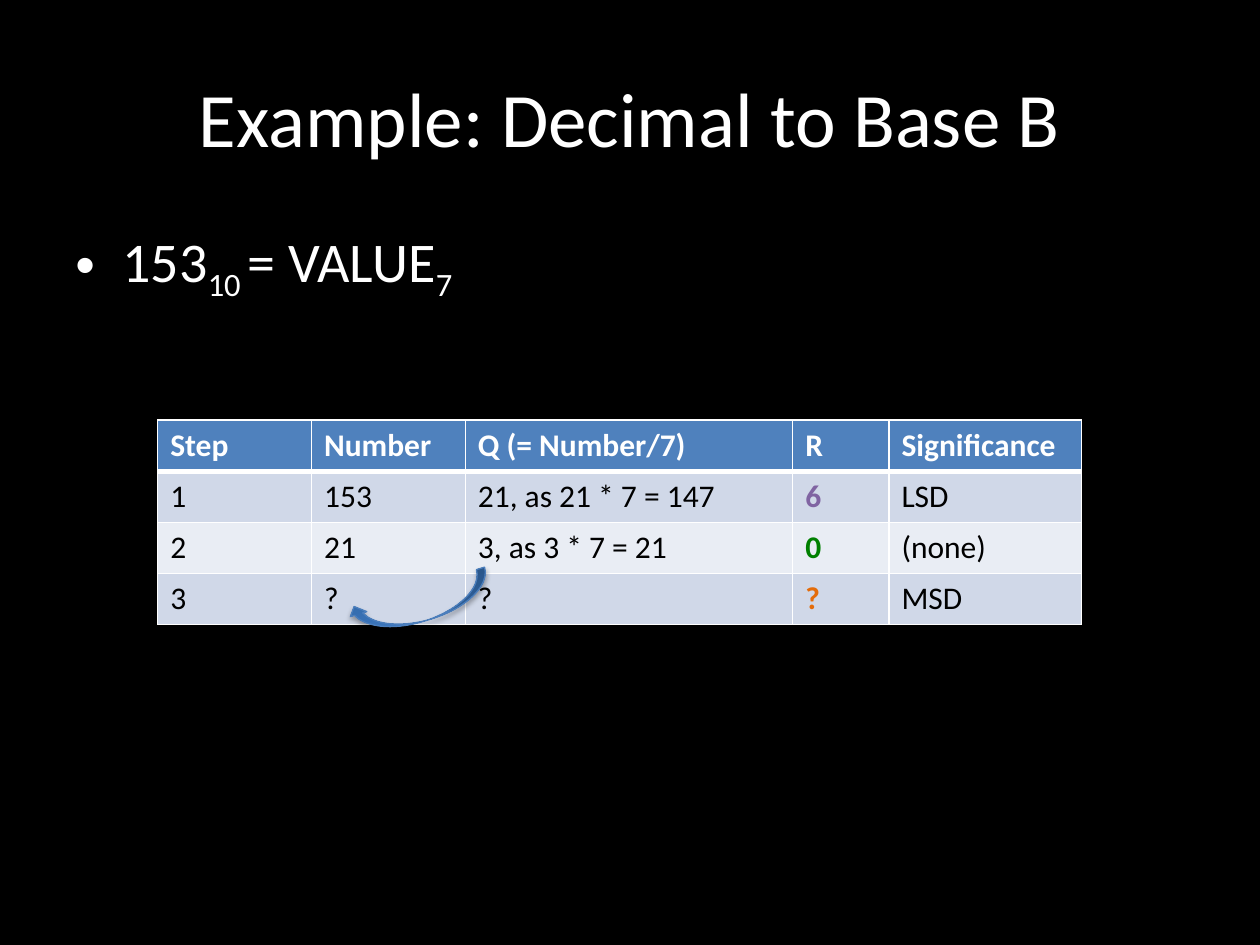
import pptx
import pptx.util
import pptx.dml.color
import pptx.enum.shapes
import pptx.enum.text
import pptx.oxml
import pptx.oxml.ns
from dataclasses import dataclass
from lxml import etree

Cm = pptx.util.Cm
Pt = pptx.util.Pt
Rgb = pptx.dml.color.RGBColor.from_string
qn = pptx.oxml.ns.qn
Align = pptx.enum.text.PP_ALIGN
Anchor = pptx.enum.text.MSO_ANCHOR

HUES = {
    "black": "000000", "white": "FFFFFF", "head": "4F81BD",
    "odd": "D0D8E8", "even": "E9EDF4", "purple": "8064A2",
    "green": "008000", "orange": "E46C0A",
    "dark": "2F5F99", "light": "3D7CC7", "edge": "4B7EBC",
}


@dataclass
class Box:
    left: float
    top: float
    width: float
    height: float

    def place(self) -> tuple:
        return tuple(Cm(n) for n in (self.left, self.top, self.width, self.height))


@dataclass
class Part:
    text: str
    size: float
    hue: str = "white"
    bold: bool = False
    base: int = 0


@dataclass
class Step:
    cells: tuple
    fill: str
    mark: str


def add_part(para, part: Part) -> None:
    run = para.add_run()
    run.text = part.text
    form = {"name": "Calibri", "size": Pt(part.size), "bold": part.bold}
    for key, value in form.items():
        setattr(run.font, key, value)
    run.font.color.rgb = Rgb(HUES[part.hue])
    if part.base:
        run.font._element.set("baseline", str(part.base * 1000))


def add_text(slide, box: Box, parts: list, form: dict):
    frame = slide.shapes.add_textbox(*box.place()).text_frame
    for key, value in form.items():
        setattr(frame, key, value)
    para = frame.paragraphs[0]
    for part in parts:
        add_part(para, part)
    return para


def add_edges(cell, sides: dict) -> None:
    props = cell._tc.get_or_add_tcPr()
    for side, width in sides.items():
        line = etree.SubElement(props, qn(f"a:ln{side}"), w=str(Pt(width)))
        fill = etree.SubElement(line, qn("a:solidFill"))
        etree.SubElement(fill, qn("a:srgbClr"), val=HUES["white"])


def add_grid(slide, box: Box, widths: tuple, steps: list) -> None:
    grid = slide.shapes.add_table(len(steps), len(widths), *box.place()).table
    for col, width in zip(grid.columns, widths):
        col.width = Cm(width)
    for r, step in enumerate(steps):
        grid.rows[r].height = Cm(box.height / len(steps))
        for c, text in enumerate(step.cells):
            cell = grid.cell(r, c)
            add_edges(cell, {"L": 1, "R": 1, "T": 3 if r == 1 else 1,
                             "B": 3 if r == 0 else 1})
            cell.fill.solid()
            cell.fill.fore_color.rgb = Rgb(HUES[step.fill])
            head = r == 0
            hue = "white" if head else step.mark if c == 3 else "black"
            add_part(cell.text_frame.paragraphs[0],
                     Part(text, 18, hue, head or c == 3))


def add_arrow(slide, box: Box, turn: float) -> None:
    kind = pptx.enum.shapes.MSO_SHAPE.CURVED_DOWN_ARROW
    arrow = slide.shapes.add_shape(kind, *box.place())
    arrow.rotation = turn
    arrow.fill.gradient()
    arrow.fill.gradient_angle = 90
    for stop, hue, spot in zip(arrow.fill.gradient_stops, ("dark", "light"), (0, 0.8)):
        stop.color.rgb = Rgb(HUES[hue])
        stop.position = spot
    arrow.line.color.rgb = Rgb(HUES["edge"])
    arrow.line.width = Pt(0.75)
    arrow.shadow.inherit = False
    glow = arrow._element.spPr.find(qn("a:effectLst"))
    shade = etree.SubElement(glow, qn("a:outerShdw"), blurRad=str(Pt(3.1)),
                             dist=str(Pt(1.8)), dir="5400000", rotWithShape="0")
    tint = etree.SubElement(shade, qn("a:srgbClr"), val=HUES["black"])
    etree.SubElement(tint, qn("a:alpha"), val="35000")


def main() -> None:
    deck = pptx.Presentation()
    deck.slide_width, deck.slide_height = Cm(25.4), Cm(19.05)
    slide = deck.slides.add_slide(deck.slide_layouts[6])
    slide.background.fill.solid()
    slide.background.fill.fore_color.rgb = Rgb(HUES["black"])

    title = add_text(slide, Box(1.27, 0.76, 22.86, 3.18),
                     [Part("Example: Decimal to Base B", 44)],
                     {"word_wrap": True, "vertical_anchor": Anchor.MIDDLE})
    title.alignment = Align.CENTER

    body = add_text(slide, Box(1.27, 4.45, 22.86, 12.57),
                    [Part("153", 32), Part("10 ", 32, base=-25),
                     Part("= VALUE", 32), Part("7", 32, base=-25)],
                    {"word_wrap": True, "vertical_anchor": Anchor.TOP})
    body.space_before = Pt(6.4)
    props = body._p.get_or_add_pPr()
    props.set("marL", str(Cm(0.95)))
    props.set("indent", str(-Cm(0.95)))
    etree.SubElement(props, qn("a:buFont"), typeface="Arial")
    etree.SubElement(props, qn("a:buChar"), char="•")

    add_grid(slide, Box(3.18, 8.47, 18.62, 4.12), (3.1, 3.1, 6.6, 1.94, 3.88), [
        Step(("Step", "Number", "Q (= Number/7)", "R", "Significance"), "head", "white"),
        Step(("1", "153", "21, as 21 * 7 = 147", "6", "LSD"), "odd", "purple"),
        Step(("2", "21", "3, as 3 * 7 = 21", "0", "(none)"), "even", "green"),
        Step(("3", "?", "?", "?", "MSD"), "odd", "orange"),
    ])
    add_arrow(slide, Box(7.01, 11.84, 2.92, 0.69), 163.2)
    deck.save("out.pptx")


main()
